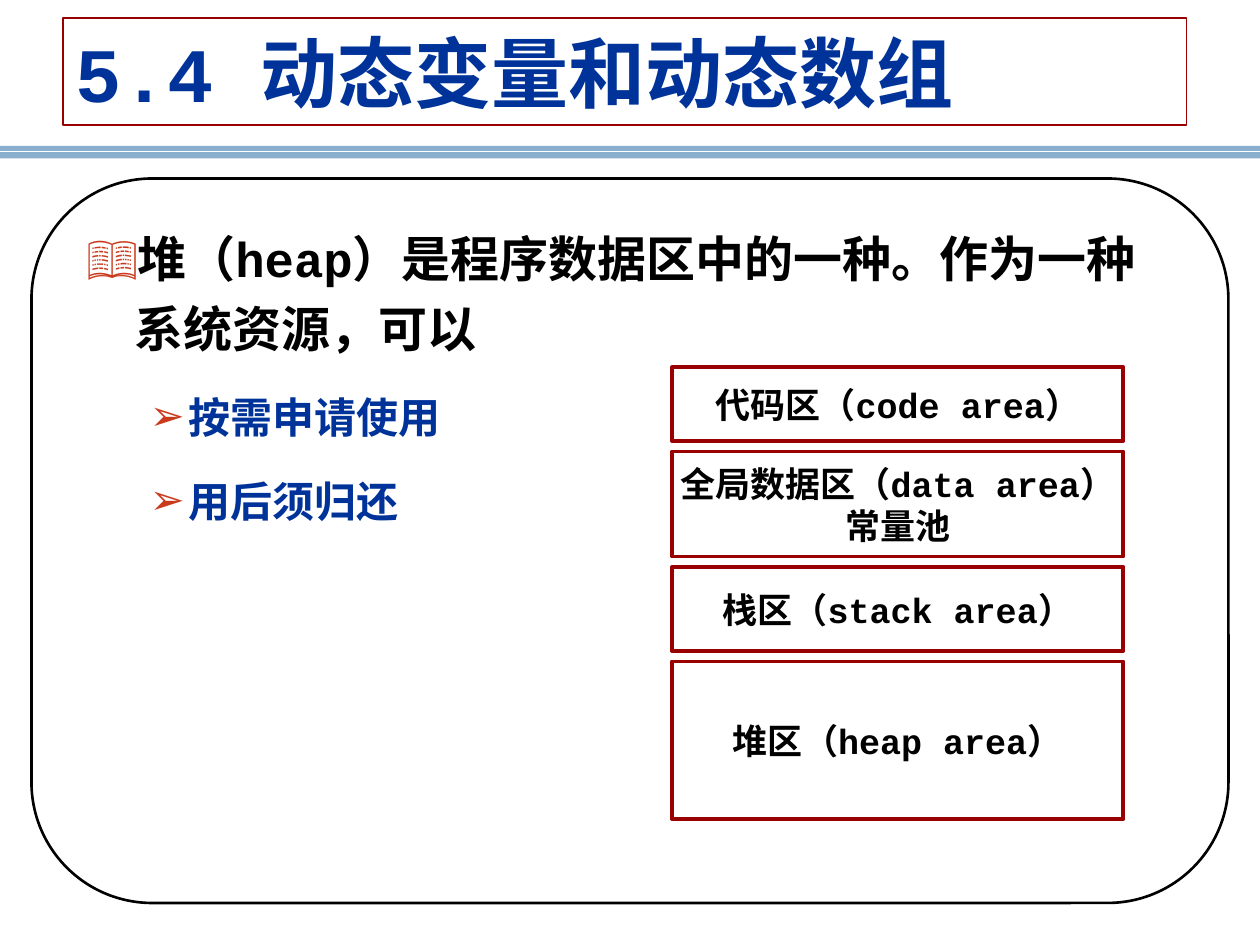
from dataclasses import dataclass

from lxml import etree
from pptx import Presentation
from pptx import util as u
from pptx.dml.color import RGBColor
from pptx.enum import shapes, text
from pptx.oxml import ns

# The slide is a grid of 120 columns by 90 rows, each 1/12 inch.
CELL = u.Inches(1) // 12
COLUMNS, ROWS = 120, 90
COLORS = {"text": "000000", "blue": "003399", "border": "990000",
          "bullet": "CA3B1E", "bar": "8AAECE", "white": "FFFFFF"}
CODE_FONT, LABEL_FONT = "Courier New", "Arial"


@dataclass
class Bullet:
    wording: str
    symbol: str
    size: int
    color: str
    level: int
    margin: float
    hanging: float
    before: float


@dataclass
class Area:
    name: str
    english: str
    rows: int
    note: str = ""


BULLETS = [
    Bullet("堆（heap）是程序数据区中的一种。作为一种系统资源，可以", "📖", 28, "text", 0, 0.38, 0.38, 0),
    Bullet("按需申请使用", "➢", 24, "blue", 1, 0.81, 0.31, 13.5),
    Bullet("用后须归还", "➢", 24, "blue", 1, 0.81, 0.31, 13.5),
]
AREAS = [
    Area("代码区", "（code area）", 7),
    Area("全局数据区", "（data area）", 10, "常量池"),
    Area("栈区", "（stack area）", 8),
    Area("堆区", "（heap area）", 15),
]


def color(name: str) -> RGBColor:
    return RGBColor.from_string(COLORS[name])


def cells(*counts: float) -> list[int]:
    return [round(count * CELL) for count in counts]


def place(shape, *box: float) -> None:
    shape.left, shape.top, shape.width, shape.height = cells(*box)


def outline(shape, name: str, width: float) -> None:
    shape.line.color.rgb = color(name)
    shape.line.width = u.Pt(width)


def add_box(slide, kind, box: tuple, fill: str = ""):
    shape = slide.shapes.add_shape(kind, *cells(*box))
    shape.shadow.inherit = False
    if fill:
        shape.fill.solid()
        shape.fill.fore_color.rgb = color(fill)
    else:
        shape.fill.background()
    return shape


def add_run(paragraph, wording: str, size: int, font: str, name: str) -> None:
    run = paragraph.add_run()
    run.text = wording
    run.font.size, run.font.name, run.font.bold = u.Pt(size), font, True
    run.font.color.rgb = color(name)


def add_backdrop(slide) -> None:
    frame = add_box(slide, shapes.MSO_SHAPE.FLOWCHART_ALTERNATE_PROCESS, (3, 17, 114, 69))
    outline(frame, "text", 1.5)
    bar = add_box(slide, shapes.MSO_SHAPE.RECTANGLE, (0, 13.9, COLUMNS, 1.2), "bar")
    bar.line.fill.background()
    stripe = slide.shapes.add_connector(
        shapes.MSO_CONNECTOR.STRAIGHT, *cells(0, 14.4, COLUMNS, 14.4))
    outline(stripe, "white", 0.75)
    etree.SubElement(stripe._element.spPr, ns.qn("a:effectLst"))


def fill_title(title) -> None:
    place(title, 6, 1.7, 107, 10.2)
    outline(title, "border", 1)
    frame = title.text_frame
    frame.auto_size = text.MSO_AUTO_SIZE.SHAPE_TO_FIT_TEXT
    frame.vertical_anchor = text.MSO_ANCHOR.MIDDLE
    paragraph = frame.paragraphs[0]
    paragraph.alignment = text.PP_ALIGN.LEFT
    add_run(paragraph, "5.4 动态变量和动态数组", 44, CODE_FONT, "blue")


def set_bullet(paragraph, bullet: Bullet) -> None:
    properties = paragraph._p.get_or_add_pPr()
    properties.set("marL", str(u.Inches(bullet.margin)))
    properties.set("indent", str(-u.Inches(bullet.hanging)))
    tint = etree.SubElement(properties, ns.qn("a:buClr"))
    etree.SubElement(tint, ns.qn("a:srgbClr"), val=COLORS["bullet"])
    etree.SubElement(properties, ns.qn("a:buChar"), char=bullet.symbol)


def fill_body(body) -> None:
    place(body, 8, 20, 104, 66)
    frame = body.text_frame
    frame.auto_size = text.MSO_AUTO_SIZE.NONE
    frame.margin_left = u.Inches(0.02)
    for index, bullet in enumerate(BULLETS):
        paragraph = frame.add_paragraph() if index else frame.paragraphs[0]
        paragraph.level = bullet.level
        set_bullet(paragraph, bullet)
        paragraph.line_spacing = 1.2
        paragraph.space_before = u.Pt(bullet.before)
        add_run(paragraph, bullet.wording, bullet.size, CODE_FONT, bullet.color)


def add_area(slide, area: Area, top: float) -> None:
    shape = add_box(slide, shapes.MSO_SHAPE.RECTANGLE, (64, top, 43, area.rows), "white")
    outline(shape, "border", 2.25)
    frame = shape.text_frame
    frame.word_wrap = False
    frame.vertical_anchor = text.MSO_ANCHOR.MIDDLE
    paragraph = frame.paragraphs[0]
    add_run(paragraph, area.name, 20, LABEL_FONT, "text")
    add_run(paragraph, area.english, 20, CODE_FONT, "text")
    if area.note:
        add_run(frame.add_paragraph(), area.note, 20, CODE_FONT, "text")
    for paragraph in frame.paragraphs:
        paragraph.alignment = text.PP_ALIGN.CENTER


def main() -> None:
    presentation = Presentation()
    presentation.slide_width, presentation.slide_height = cells(COLUMNS, ROWS)
    slide = presentation.slides.add_slide(presentation.slide_layouts[1])
    title, body = slide.placeholders
    add_backdrop(slide)
    for placeholder in (title, body):  # bring the text in front of the backdrop
        slide.shapes._spTree.append(placeholder._element)
    fill_title(title)
    fill_body(body)
    top = 35
    for area in AREAS:
        add_area(slide, area, top)
        top += area.rows + 1
    presentation.save("out.pptx")


if __name__ == "__main__":
    main()
